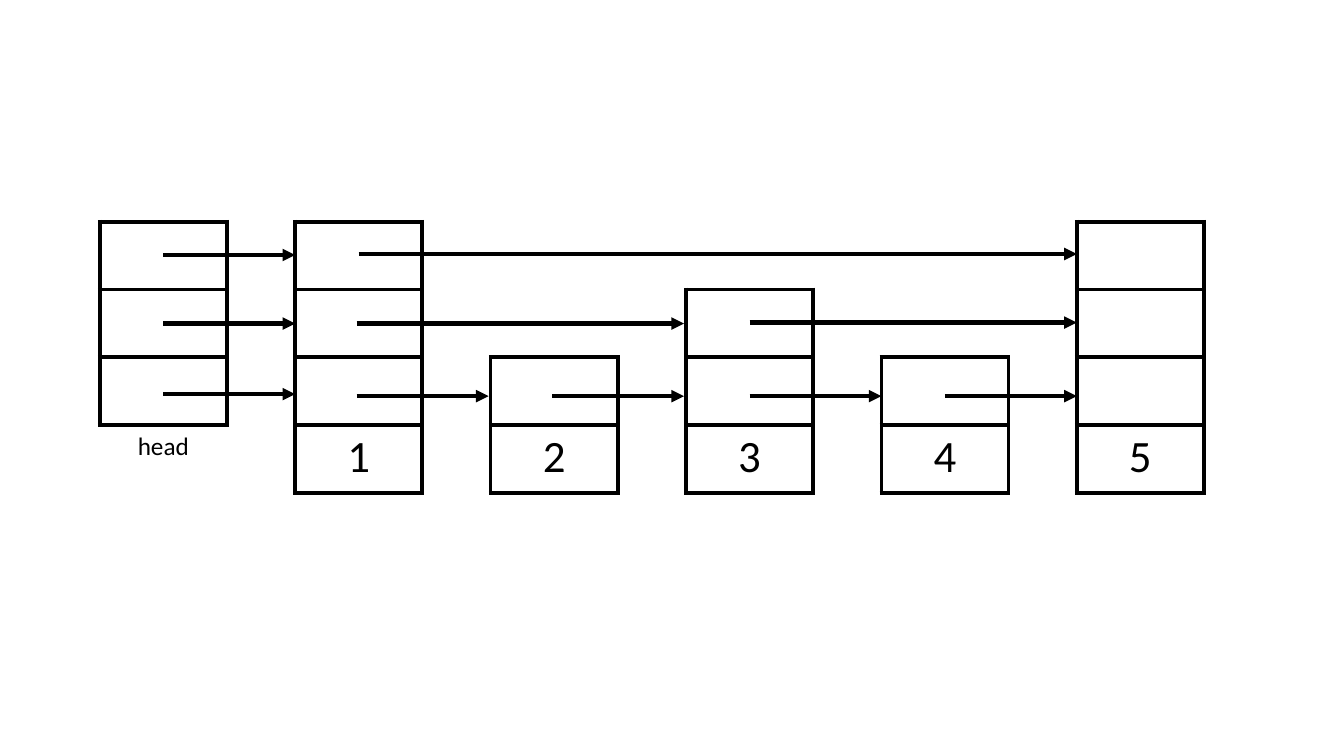
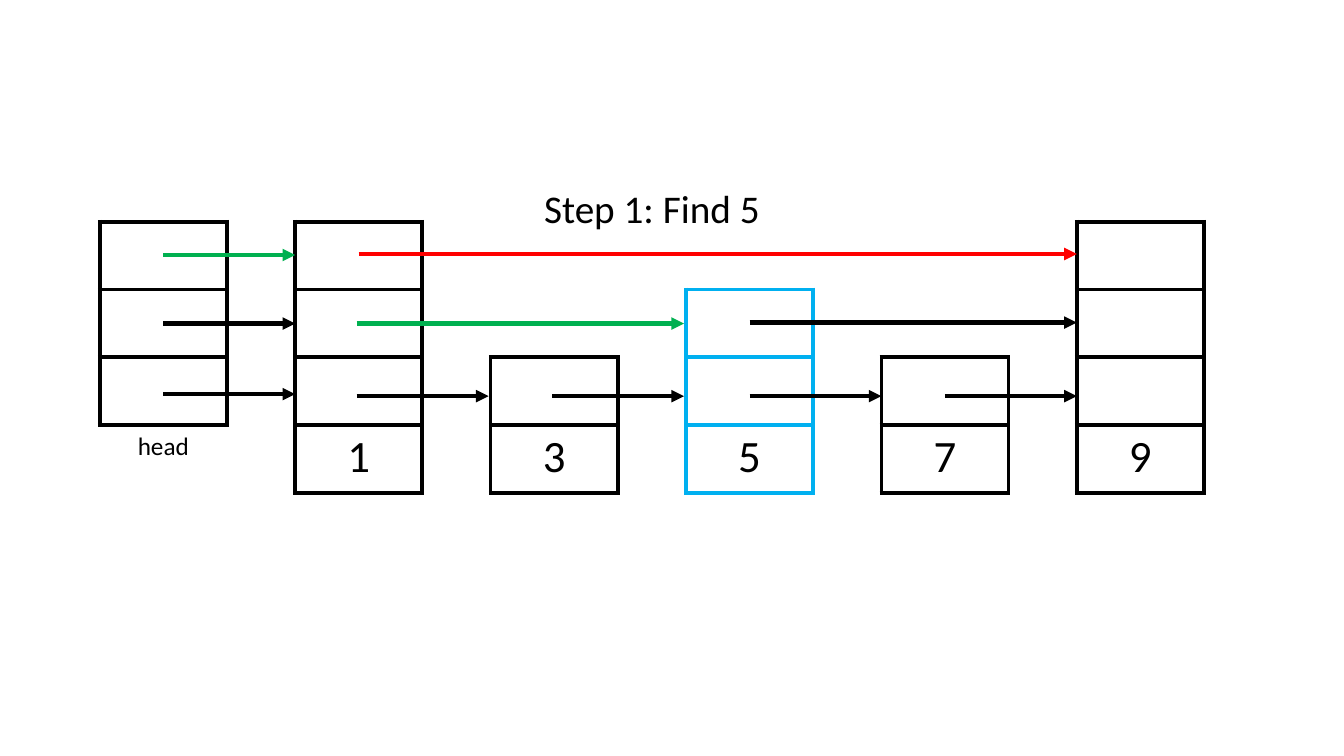
from dataclasses import dataclass

import lxml.etree
import pptx
import pptx.dml.color
import pptx.enum.shapes
import pptx.enum.text
import pptx.oxml.ns
import pptx.util
from pptx.util import Inches

# Shared style
BLACK, WHITE = "000000", "FFFFFF"
GREEN, RED, BLUE = "00B050", "FF0000", "00B0F0"
FONT = "Calibri"
LINE_WIDTH = pptx.util.Pt(3)

# Shared grid: six columns of cells, the towers standing on one base line
LEFT, TOP = 0.99, 2.2
PITCH = (10.68 - LEFT) / 5
CELL_WIDTH = 1.26
CELL_HEIGHT = 2.69 / 4
BASE = TOP + 4 * CELL_HEIGHT
HEAD_LEVELS = 3
NODE_LEVELS = (3, 1, 2, 1, 3)


@dataclass(frozen=True)
class Link:
    """An arrow from the middle of one column to the left edge of another."""
    start: int
    end: int
    y: float
    shift: float = 0


LINKS = (
    # Out of the head
    Link(0, 1, 2.53), Link(0, 1, 3.21), Link(0, 1, 3.91),
    # Bottom level
    Link(1, 2, 3.93, -0.02), Link(2, 3, 3.93, -0.02),
    Link(3, 4, 3.93), Link(4, 5, 3.93),
    # Middle and top levels
    Link(1, 3, 3.21, -0.02), Link(3, 5, 3.2), Link(1, 5, 2.52),
)


@dataclass(frozen=True)
class SkipList:
    """The content of one slide; colours are keyed by position."""
    keys: tuple[str, ...]
    node_colors: dict[int, str]
    link_colors: dict[int, str]
    caption: str = ""


SKIP_LISTS = (
    SkipList(("1", "2", "3", "4", "5"), {}, {}),
    SkipList(("1", "3", "5", "7", "9"), {2: BLUE},
             {0: GREEN, 7: GREEN, 9: RED}, "Step 1: Find 5"),
)


def rgb(color: str) -> pptx.dml.color.RGBColor:
    return pptx.dml.color.RGBColor.from_string(color)


def add_xml(parent, tag: str, **attributes: str):
    return lxml.etree.SubElement(parent, pptx.oxml.ns.qn(tag), attributes)


def column_left(column: int) -> float:
    return LEFT + column * PITCH


def write(frame, text: str, size: float) -> None:
    paragraph = frame.paragraphs[0]
    paragraph.alignment = pptx.enum.text.PP_ALIGN.CENTER
    run = paragraph.add_run()
    run.text = text
    for attribute, value in {"name": FONT, "size": pptx.util.Pt(size)}.items():
        setattr(run.font, attribute, value)
    run.font.color.rgb = rgb(BLACK)


def add_label(slide, text: str, top: float, width: float, height: float,
              size: float) -> None:
    box = slide.shapes.add_textbox(
        Inches(LEFT), Inches(top), Inches(width), Inches(height))
    box.text_frame.word_wrap = True
    write(box.text_frame, text, size)


def style_cell(cell, color: str) -> None:
    properties = cell._tc.get_or_add_tcPr()
    for side in ("a:lnL", "a:lnR", "a:lnT", "a:lnB"):
        border = add_xml(properties, side, w=str(int(LINE_WIDTH)))
        add_xml(add_xml(border, "a:solidFill"), "a:srgbClr", val=color)
    cell.fill.solid()
    cell.fill.fore_color.rgb = rgb(WHITE)


def add_tower(slide, column: int, top: float, rows: int, color: str):
    tower = slide.shapes.add_table(
        rows, 1, Inches(column_left(column)), Inches(top),
        Inches(CELL_WIDTH), Inches(rows * CELL_HEIGHT)).table
    for flag in ("first_row", "horz_banding"):
        setattr(tower, flag, False)
    for cell in tower.iter_cells():
        style_cell(cell, color)
    return tower


def add_node(slide, column: int, key: str, levels: int, color: str) -> None:
    rows = levels + 1
    tower = add_tower(slide, column, BASE - rows * CELL_HEIGHT, rows, color)
    write(tower.cell(levels, 0).text_frame, key, 32)


def add_link(slide, link: Link, color: str) -> None:
    start = column_left(link.start) + CELL_WIDTH / 2 + link.shift
    end = column_left(link.end) + link.shift
    arrow = slide.shapes.add_connector(
        pptx.enum.shapes.MSO_CONNECTOR.STRAIGHT,
        Inches(start), Inches(link.y), Inches(end), Inches(link.y))
    arrow.line.width = LINE_WIDTH
    arrow.line.color.rgb = rgb(color)
    add_xml(arrow.line._get_or_add_ln(), "a:tailEnd", type="triangle")
    add_xml(arrow._element.spPr, "a:effectLst")


def draw(slide, content: SkipList) -> None:
    # Head and nodes
    add_tower(slide, 0, TOP, HEAD_LEVELS, BLACK)
    add_label(slide, "head", 4.22, CELL_WIDTH, 0.4, 18)
    for index, (key, levels) in enumerate(zip(content.keys, NODE_LEVELS)):
        color = content.node_colors.get(index, BLACK)
        add_node(slide, index + 1, key, levels, color)

    # Links
    for index, link in enumerate(LINKS):
        add_link(slide, link, content.link_colors.get(index, BLACK))

    # Caption over the whole list
    if content.caption:
        add_label(slide, content.caption, 1.78, 5 * PITCH + CELL_WIDTH, 0.57, 28)


def main() -> None:
    deck = pptx.Presentation()
    deck.slide_width, deck.slide_height = Inches(13.33), Inches(7.5)
    blank = deck.slide_layouts[6]
    for content in SKIP_LISTS:
        draw(deck.slides.add_slide(blank), content)
    deck.save("out.pptx")


if __name__ == "__main__":
    main()
